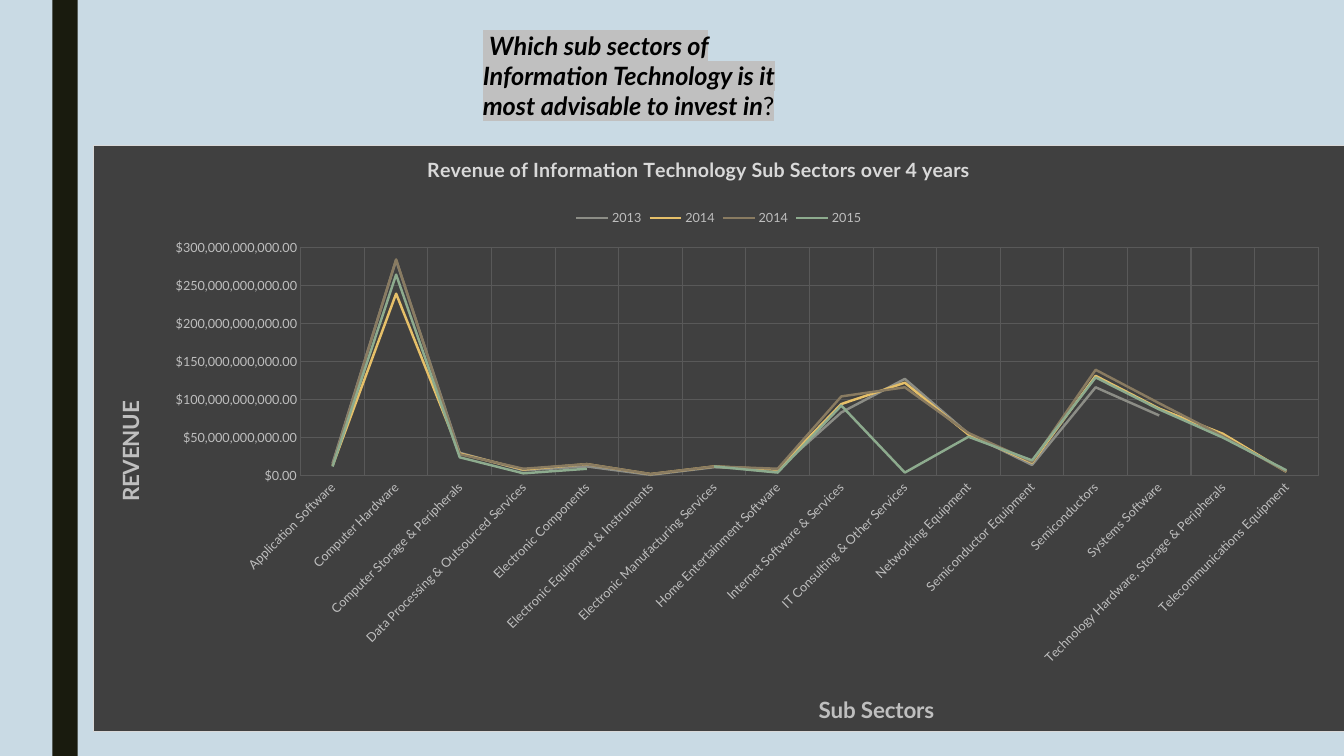
from pptx import Presentation
from pptx.chart.data import CategoryChartData
from pptx.dml.color import RGBColor
from pptx.enum.chart import XL_CHART_TYPE, XL_LEGEND_POSITION, XL_MARKER_STYLE, XL_TICK_MARK
from pptx.enum.shapes import MSO_SHAPE
from pptx.oxml import parse_xml
from pptx.oxml.ns import nsdecls, qn
from pptx.util import Inches, Pt

LINE = XL_CHART_TYPE.LINE
TOP = XL_LEGEND_POSITION.TOP
NO_MARKER = XL_MARKER_STYLE.NONE
NO_TICK = XL_TICK_MARK.NONE
RECT = MSO_SHAPE.RECTANGLE
FONT = "Lato"
BILLION = 1_000_000_000
CHART_W, CHART_H = 12.42, 5.82

# Revenue in billions of dollars: 2013, 2014, 2014, 2015
REVENUE = {
    "Application Software": (16, 13, 14, 12),
    "Computer Hardware": (283, 239, 284, 264),
    "Computer Storage & Peripherals": (30, 29, 28, 24),
    "Data Processing & Outsourced Services": (7, 8, 9, 3),
    "Electronic Components": (12, 15, 15, 9),
    "Electronic Equipment & Instruments": (1, 2, 2, None),
    "Electronic Manufacturing Services": (11, 12, 12, 12),
    "Home Entertainment Software": (8, 8, 9, 4),
    "Internet Software & Services": (83, 94, 104, 92),
    "IT Consulting & Other Services": (127, 122, 116, 4),
    "Networking Equipment": (55, 54, 56, 51),
    "Semiconductor Equipment": (14, 17, 18, 20),
    "Semiconductors": (116, 131, 139, 129),
    "Systems Software": (79, 88, 95, 87),
    "Technology Hardware, Storage & Peripherals": (None, 55, 52, 50),
    "Telecommunications Equipment": (5, 5, 5, 7),
}
SERIES = [("2013", "8C8D86"), ("2014", "E6C069"), ("2014", "897B61"), ("2015", "8DAB8E")]


def rgb(color):
    return RGBColor.from_string(color)


def set_layout(parent, index, target="", **inches):
    """Place a chart part by inches from the chart's top left corner."""
    for old in parent.findall(qn("c:layout")):
        parent.remove(old)
    modes = "".join(f'<c:{k}Mode val="edge"/>' for k in "xy")
    sizes = "".join(f'<c:{k} val="{v / (CHART_W if k in "xw" else CHART_H)}"/>'
                    for k, v in inches.items())
    parent.insert(index, parse_xml(
        f'<c:layout {nsdecls("c")}><c:manualLayout>{target}{modes}{sizes}'
        "</c:manualLayout></c:layout>"))


prs = Presentation()
prs.slide_width, prs.slide_height = Inches(13.33), Inches(7.5)
s = prs.slides.add_slide(prs.slide_layouts[6])
s.background.fill.solid()
s.background.fill.fore_color.rgb = rgb("C9DAE4")

bar = s.shapes.add_shape(RECT, Inches(0.52), 0, Inches(0.25), Inches(7.5))
bar.shadow.inherit = False
bar.fill.solid()
bar.fill.fore_color.rgb = rgb("191B0E")
bar.line.fill.background()

# Revenue chart
data = CategoryChartData(number_format='"$"#,##0.00')
data.categories = list(REVENUE)
for (name, _), column in zip(SERIES, zip(*REVENUE.values())):
    data.add_series(name, [None if v is None else v * BILLION for v in column])
chart = s.shapes.add_chart(
    LINE, Inches(0.92), Inches(1.44), Inches(CHART_W), Inches(CHART_H), data).chart
chart.font.name = FONT
chart.font.size = Pt(10)
chart.element.find(qn("c:chart")).addnext(parse_xml(
    f'<c:spPr {nsdecls("c", "a")}>'
    '<a:solidFill><a:srgbClr val="404040"/></a:solidFill>'
    '<a:ln w="9525"><a:solidFill><a:srgbClr val="D9D9D9"/></a:solidFill></a:ln></c:spPr>'))

chart.plots[0].vary_by_categories = False
for series, (_, color) in zip(chart.plots[0].series, SERIES):
    series.smooth = False
    series.format.line.color.rgb = rgb(color)
    series.format.line.width = Pt(1.75)
    series.marker.style = NO_MARKER

chart.has_legend = True
chart.legend.position = TOP
chart.legend.include_in_layout = False

cat, val = chart.category_axis, chart.value_axis
for axis in (cat, val):
    axis.major_tick_mark = axis.minor_tick_mark = NO_TICK
    axis.format.line.fill.background()
    axis.has_major_gridlines = True
    axis.major_gridlines.format.line.color.rgb = rgb("595959")
    axis.major_gridlines.format.line.width = Pt(0.75)
for part in (cat.tick_labels, val.tick_labels, chart.legend):
    part.font.name = FONT
    part.font.size = Pt(9)
    part.font.color.rgb = rgb("BFBFBF")
val.minimum_scale, val.maximum_scale = 0, 300 * BILLION
val.major_unit = 50 * BILLION
val.tick_labels.number_format = '"$"#,##0.00'
val.tick_labels.number_format_is_linked = False

plot_area = chart.element.find(".//" + qn("c:plotArea"))
set_layout(plot_area, 0, '<c:layoutTarget val="inner"/>', x=2.06, y=1.01, w=10.1, h=2.27)
label_body = plot_area.find("/".join(map(qn, ("c:catAx", "c:txPr", "a:bodyPr"))))
label_body.set("rot", "-2700000")

for title, text, size, color, rotation, x, y in (
    (chart.chart_title, "Revenue of Information Technology Sub Sectors over 4 years",
     14, "D9D9D9", 0, 3.28, 0.06),
    (cat.axis_title, "Sub Sectors", 16, "BFBFBF", 0, 7.16, 5.41),
    (val.axis_title, "REVENUE", 16, "BFBFBF", -5400000, 0.17, 2.5),
):
    title.text_frame.text = text
    font = title.text_frame.paragraphs[0].runs[0].font
    font.name, font.size, font.bold = FONT, Pt(size), True
    font.color.rgb = rgb(color)
    title.element.find(".//" + qn("a:bodyPr")).set("rot", str(rotation))
    set_layout(title.element, 1, x=x, y=y)

# Highlighted question
tf = s.shapes.add_textbox(Inches(4.69), Inches(0.25), Inches(3.37), Inches(1.01)).text_frame
tf.word_wrap = True
p = tf.paragraphs[0]
for text, strong in (
    (" ", False),
    ("Which sub sectors of Information Technology is it most advisable to invest in", True),
    ("?", False),
):
    r = p.add_run()
    r.text = text
    r.font.name, r.font.size = FONT, Pt(18)
    r.font.bold = r.font.italic = strong
    r.font.color.rgb = rgb("000000")
    r.font._element.find(qn("a:solidFill")).addnext(parse_xml(
        f'<a:highlight {nsdecls("a")}><a:srgbClr val="C0C0C0"/></a:highlight>'))

prs.save("out.pptx")
